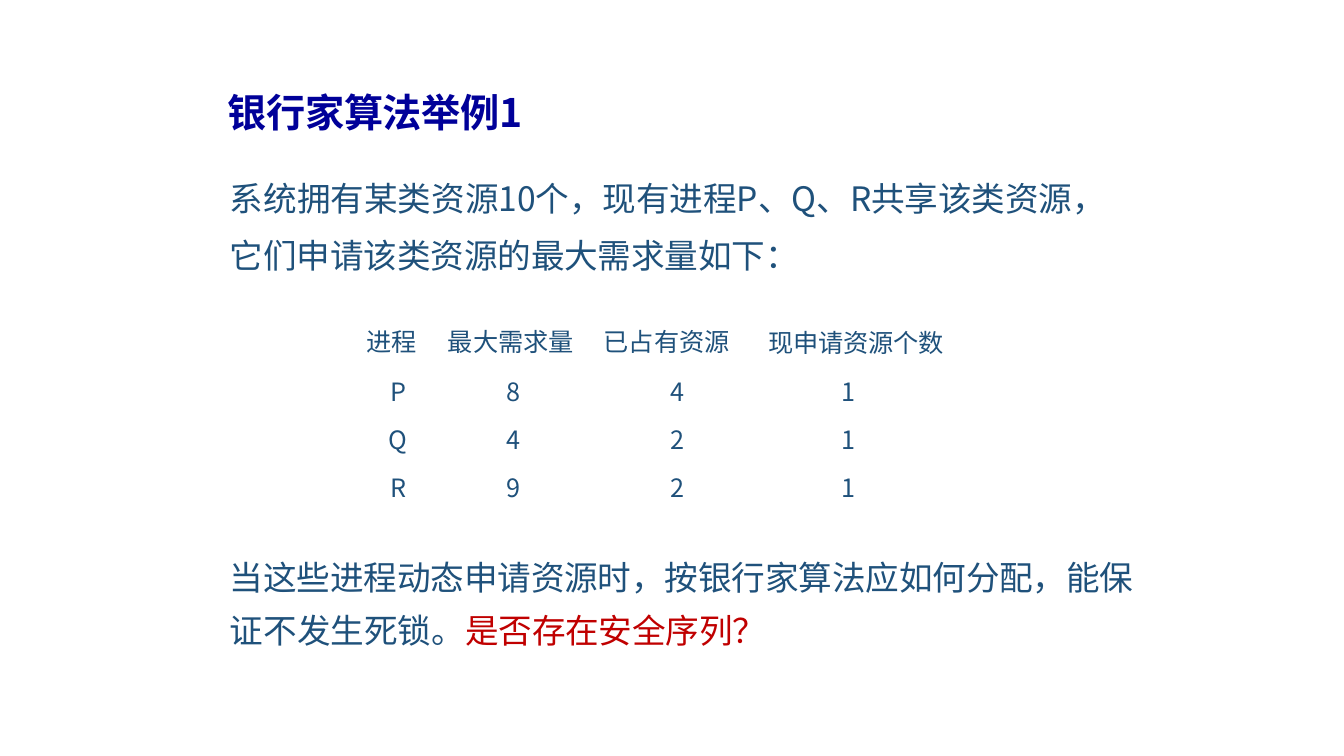
"""Build the slide on a worked case of the banker's algorithm."""
from dataclasses import dataclass

from lxml.etree import SubElement
from pptx import Presentation
from pptx.dml.color import RGBColor
from pptx.enum.text import MSO_AUTO_SIZE as Fit, PP_ALIGN as Align
from pptx.oxml.ns import qn
from pptx.slide import Slide
from pptx.util import Inches, Pt

NAVY = RGBColor(0x00, 0x00, 0x99)
BLUE = RGBColor(0x1F, 0x51, 0x7B)
RED = RGBColor(0xC0, 0x00, 0x00)
FONT = "Noto Sans CJK SC"


@dataclass
class Run:
    text: str
    gap: float = 0
    color: RGBColor = BLUE


@dataclass
class Box:
    left: float
    top: float
    width: float
    height: float
    runs: list[Run]
    size: int = 24
    line: float = 1
    bold: bool = False


@dataclass
class Column:
    width: float
    head: str
    items: str
    gap: float = -0.1
    align: Align = Align.LEFT
    head_pad: float = 0
    item_pad: float = 0
    drop: float = 0.01


BOXES = [
    Box(2.25, 0.87, 2.99, 0.49,
        [Run("银行家算法举例", -0.3, NAVY), Run("1", -0.5, NAVY)], 28, bold=True),
    Box(2.27, 1.59, 8.78, 1.16,
        [Run("系统拥有某类资源"), Run("10个，现有进程P", -0.1), Run("、Q、R"),
         Run("共享该类资源，它们申请该类资源的最大需求量如下：", -0.1)], line=1.41),
    Box(2.27, 5.4, 9.03, 1.07,
        [Run("当这些进程动态申请资源时，按银行家算法应如何分配，能保", -0.1),
         Run("证不发生死锁。"), Run("是否存在安全序列？", -0.1, RED)], line=1.3),
]
COLUMNS = [
    Column(0.68, "进程", "PQR", -0.2, head_pad=0.03),
    Column(1.55, "最大需求量", "849", align=Align.CENTER, item_pad=0.05),
    Column(1.59, "已占有资源", "422", head_pad=0.15, item_pad=0.16),
    Column(1.98, "现申请资源个数", "111", head_pad=0.19, drop=0.02),
]
ROWS = [0.41, 0.48, 0.48, 0.41]


def write(para, runs: list[Run], size: int, pad: float = 0, bold: bool = False) -> None:
    """Add styled runs to a paragraph with a left indent."""
    props = para._p.get_or_add_pPr()
    props.set("marL", str(Inches(pad)))
    props.set("indent", "0")
    for item in runs:
        run = para.add_run()
        run.text = item.text
        font = run.font
        font.name, font.size, font.bold = FONT, Pt(size), bold
        font.color.rgb = item.color
        mark = run._r.get_or_add_rPr()
        mark.set("spc", str(round(item.gap * 100)))
        SubElement(mark, qn("a:ea"), typeface=FONT)


def inset(area, top: float) -> None:
    """Set the top margin and clear the others."""
    area.margin_left = area.margin_right = area.margin_bottom = 0
    area.margin_top = Inches(top)


def add_box(slide: Slide, box: Box) -> None:
    """Draw one text box."""
    spot = map(Inches, (box.left, box.top, box.width, box.height))
    frame = slide.shapes.add_textbox(*spot).text_frame
    frame.word_wrap = True
    frame.auto_size = Fit.SHAPE_TO_FIT_TEXT
    inset(frame, 0.01)
    para = frame.paragraphs[0]
    para.line_spacing = box.line
    write(para, box.runs, box.size, 0.01, box.bold)


def add_grid(slide: Slide, left: float, top: float) -> None:
    """Draw the table of processes and their needs."""
    wide = sum(col.width for col in COLUMNS)
    spot = map(Inches, (left, top, wide, sum(ROWS)))
    table = slide.shapes.add_table(len(ROWS), len(COLUMNS), *spot).table
    table.first_row = table.horz_banding = False
    for row, height in zip(table.rows, ROWS):
        row.height = Inches(height)
    for x, col in enumerate(COLUMNS):
        table.columns[x].width = Inches(col.width)
        for y, text in enumerate([col.head, *col.items]):
            cell = table.cell(y, x)
            cell.fill.background()
            inset(cell, 0.09 if y else col.drop)
            para = cell.text_frame.paragraphs[0]
            para.alignment = Align.CENTER if y else col.align
            gap, pad = (0, col.item_pad) if y else (col.gap, col.head_pad)
            write(para, [Run(text, gap)], 18, pad)


def main() -> None:
    """Make and save the deck."""
    deck = Presentation()
    deck.slide_width, deck.slide_height = Inches(13.33), Inches(7.5)
    slide = deck.slides.add_slide(deck.slide_layouts[6])
    for box in BOXES:
        add_box(slide, box)
    add_grid(slide, 3.61, 3.19)
    deck.save("out.pptx")


if __name__ == "__main__":
    main()
